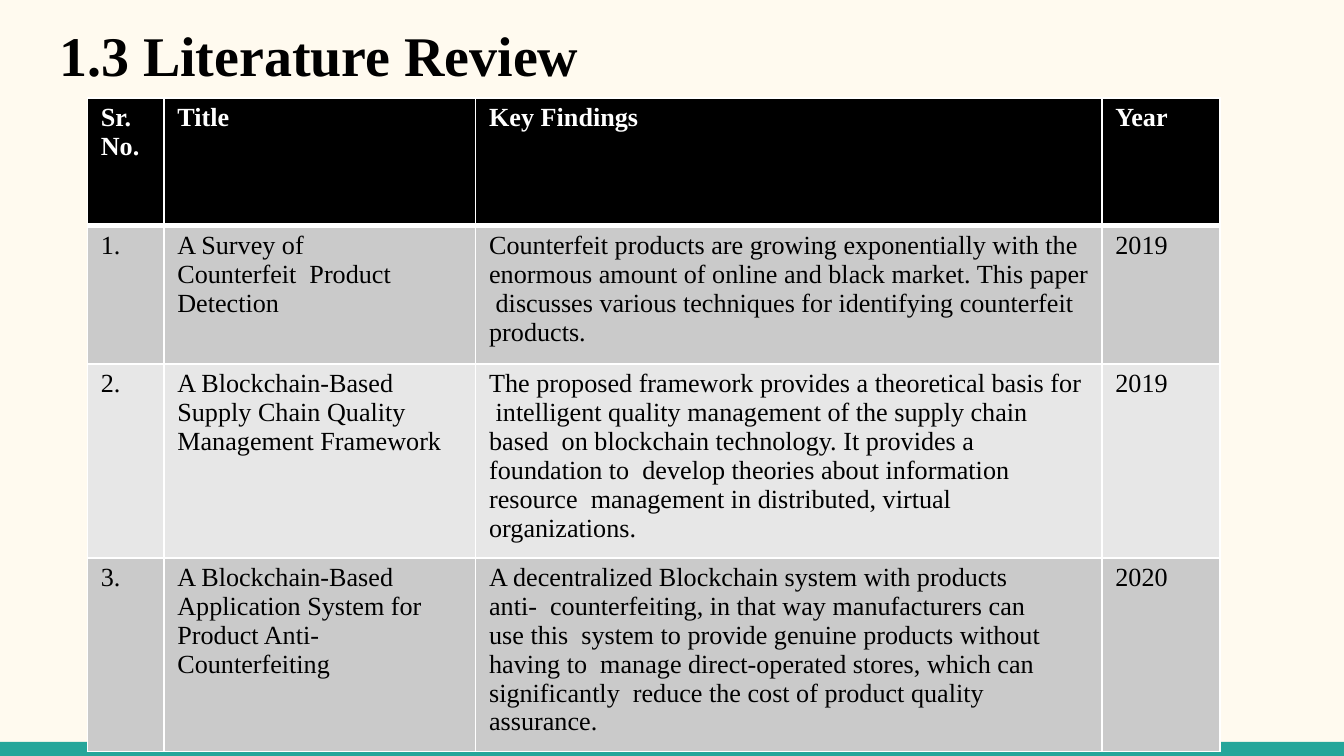
import pptx
import pptx.util
import pptx.dml.color
import pptx.enum.shapes
import pptx.enum.text
import pptx.oxml
import pptx.oxml.ns

Inches = pptx.util.Inches
Pt = pptx.util.Pt

COLORS = {"cream": "FFFAEF", "teal": "25A69A", "black": "000000",
          "white": "FFFFFF", "odd": "CACACA", "even": "E7E7E7"}
FONT = "Times New Roman"
TITLE = "1.3 Literature Review"
HEADER = ["Sr.\nNo.", "Title", "Key Findings", "Year"]
STUDIES = [
    ["1.", "A Survey of Counterfeit  Product Detection",
     "Counterfeit products are growing exponentially with the  enormous amount of online "
     "and black market. This paper  discusses various techniques for identifying "
     "counterfeit  products.", "2019"],
    ["2.", "A Blockchain-Based  Supply Chain Quality  Management Framework",
     "The proposed framework provides a theoretical basis for  intelligent quality "
     "management of the supply chain based  on blockchain technology. It provides a "
     "foundation to  develop theories about information resource  management in "
     "distributed, virtual organizations.", "2019"],
    ["3.", "A Blockchain-Based  Application System for  Product Anti-  Counterfeiting",
     "A decentralized Blockchain system with products anti-  counterfeiting, in that way "
     "manufacturers can use this  system to provide genuine products without having to  "
     "manage direct-operated stores, which can significantly  reduce the cost of product "
     "quality assurance.", "2020"],
]
COLUMN_WIDTHS = [0.57, 2.32, 4.66, 0.88]
ROW_HEIGHTS = [0.95, 1.03, 1.43, 1.27]
RIGHT_INDENTS = {(1, 1): 0.45, (1, 2): 0.05, (2, 1): 0.2, (2, 2): 0.12,
                 (3, 1): 0.34, (3, 2): 0.38}


def rgb(name):
    return pptx.dml.color.RGBColor.from_string(COLORS[name])


def apply(target, values):
    for name, value in values.items():
        setattr(target, name, value)


def paint(target, name):
    target.fill.solid()
    target.fill.fore_color.rgb = rgb(name)


def style_text(para, size, color, bold):
    apply(para.font, {"name": FONT, "size": Pt(size), "bold": bold})
    para.font.color.rgb = rgb(color)


def add_borders(cell, widths):
    properties = cell._tc.get_or_add_tcPr()
    for index, (side, width) in enumerate(widths.items()):
        properties.insert(index, pptx.oxml.parse_xml(
            f'<a:ln{side} {pptx.oxml.ns.nsdecls("a")} w="{Pt(width)}"><a:solidFill>'
            f'<a:srgbClr val="{COLORS["white"]}"/></a:solidFill></a:ln{side}>'))


deck = pptx.Presentation()
apply(deck, {"slide_width": Inches(10), "slide_height": Inches(10 * 9 / 16)})
page = deck.slides.add_slide(deck.slide_layouts[5])
paint(page.background, "cream")

bar = page.shapes.add_shape(pptx.enum.shapes.MSO_SHAPE.RECTANGLE,
                            Inches(0), Inches(5.52), Inches(10), Inches(0.11))
bar.shadow.inherit = False
paint(bar, "teal")
bar.line.fill.background()

title = page.shapes.title
apply(title, {"left": Inches(0.43), "top": Inches(0.14),
              "width": Inches(3.9), "height": Inches(0.53)})
title.text = TITLE
apply(title.text_frame, {"margin_left": Inches(0.01), "margin_right": 0,
                         "margin_bottom": 0, "margin_top": Inches(0.01),
                         "word_wrap": True,
                         "vertical_anchor": pptx.enum.text.MSO_ANCHOR.TOP,
                         "auto_size": pptx.enum.text.MSO_AUTO_SIZE.SHAPE_TO_FIT_TEXT})
heading = title.text_frame.paragraphs[0]
apply(heading, {"alignment": pptx.enum.text.PP_ALIGN.LEFT, "space_before": Pt(1)})
style_text(heading, 30, "black", True)

rows = [HEADER] + STUDIES
table = page.shapes.add_table(len(rows), len(HEADER), Inches(0.65), Inches(0.73),
                              Inches(sum(COLUMN_WIDTHS)), Inches(sum(ROW_HEIGHTS))).table
for column, width in zip(table.columns, COLUMN_WIDTHS):
    column.width = Inches(width)
for row, height in zip(table.rows, ROW_HEIGHTS):
    row.height = Inches(height)

for r, texts in enumerate(rows):
    is_header = r == 0
    fill = "black" if is_header else "odd" if r % 2 else "even"
    for c, text in enumerate(texts):
        cell = table.cell(r, c)
        cell.text = text
        apply(cell, {"margin_left": Inches(0.1), "margin_top": Inches(0.04),
                     "margin_right": Inches(RIGHT_INDENTS.get((r, c), 0)),
                     "margin_bottom": 0})
        paint(cell, fill)
        add_borders(cell, {"L": 1, "R": 1, "T": 3 if r == 1 else 1,
                           "B": 3 if is_header else 1})
        for index, para in enumerate(cell.text_frame.paragraphs):
            para.space_before = Pt(0 if index else 3.2)
            style_text(para, 14, "white" if is_header else "black", is_header)

deck.save("out.pptx")
